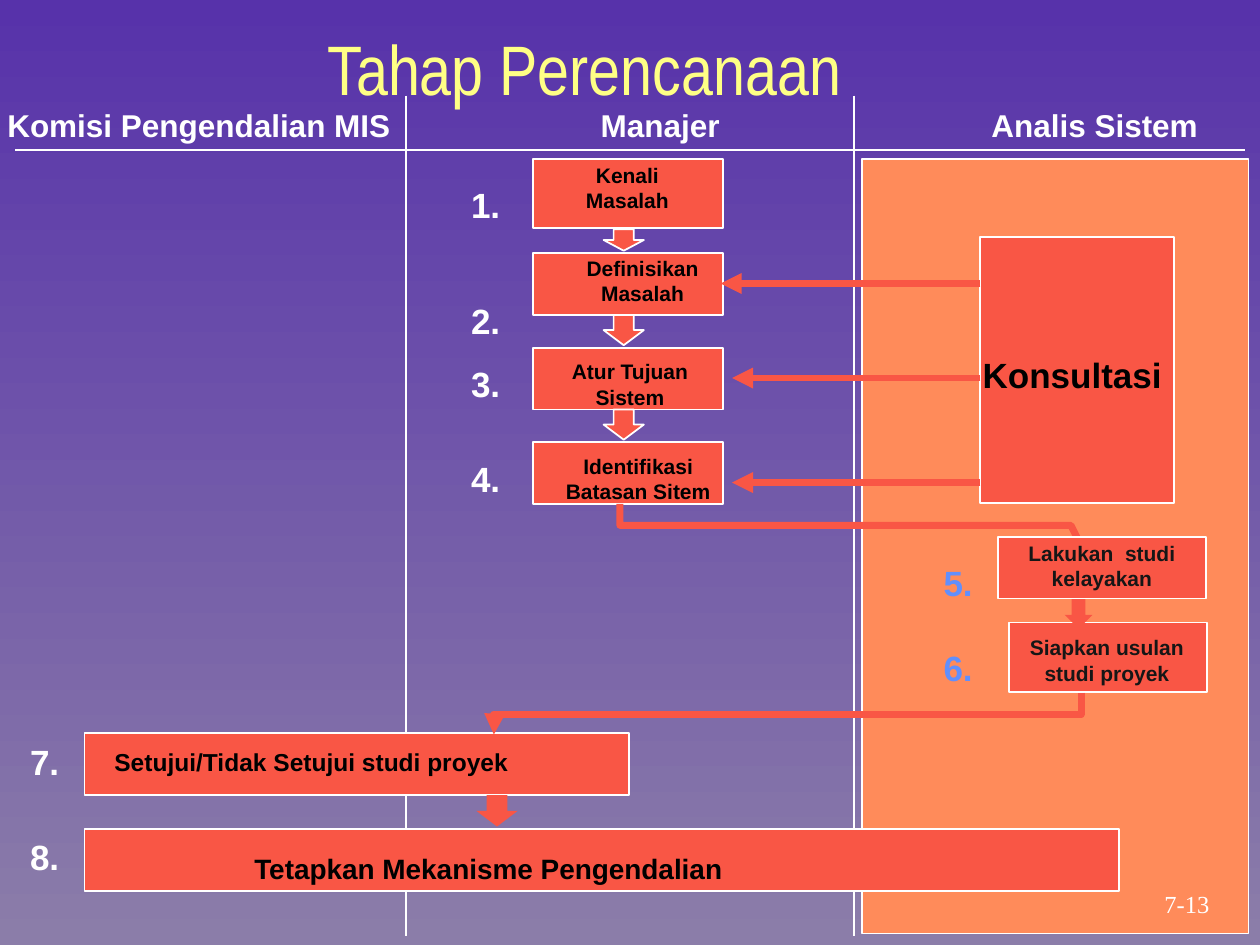
from typing import NamedTuple

from lxml.etree import SubElement
from pptx import Presentation
from pptx.dml.color import RGBColor
from pptx.enum.shapes import MSO_CONNECTOR, MSO_SHAPE
from pptx.enum.text import MSO_ANCHOR, PP_ALIGN
from pptx.oxml.ns import qn
from pptx.util import Inches, Pt

WHITE = RGBColor(0xFF, 0xFF, 0xFF)
BLACK = RGBColor(0, 0, 0)
DARK = RGBColor(0x16, 0x16, 0x16)
RED = RGBColor(0xF9, 0x56, 0x45)
ORANGE = RGBColor(0xFF, 0x8B, 0x5A)
YELLOW = RGBColor(0xFF, 0xFF, 0x85)
BLUE = RGBColor(0x61, 0x8F, 0xFD)
TOP_PURPLE = RGBColor(0x57, 0x32, 0xAA)
BOTTOM_PURPLE = RGBColor(0x8B, 0x7D, 0xA9)


class Area(NamedTuple):
    x: float
    y: float
    w: float
    h: float


class Label(NamedTuple):
    text: str
    area: Area
    color: RGBColor = BLACK


class Number(NamedTuple):
    text: str
    x: float
    y: float
    color: RGBColor = WHITE


class DownArrow(NamedTuple):
    area: Area
    outline: RGBColor | None = None


MANAGER_X, MANAGER_W = 4.23, 1.51
BOXES = [
    Area(MANAGER_X, 1.26, MANAGER_W, 0.55),
    *[Area(MANAGER_X, 2.01 + 0.75 * i, MANAGER_W, 0.49) for i in range(3)],
    Area(7.78, 1.88, 1.54, 2.11),
    Area(8.01, 4.94, 1.57, 0.55),
    Area(0.67, 5.82, 4.32, 0.49),
    Area(0.67, 6.58, 8.21, 0.49),
]
STUDY_BOX = Area(7.92, 4.26, 1.65, 0.49)

LABELS = [
    Label("Kenali\nMasalah", Area(4.31, 1.24, 1.34, 0.5)),
    Label("Definisikan Masalah", Area(4.46, 1.98, 1.28, 0.5)),
    Label("Atur Tujuan Sistem", Area(4.28, 2.8, 1.44, 0.5)),
    Label("Identifikasi Batasan Sitem", Area(4.32, 3.55, 1.49, 0.5)),
    Label("Lakukan  studi kelayakan", Area(7.99, 4.24, 1.51, 0.5), DARK),
    Label("Siapkan usulan studi proyek", Area(7.99, 4.99, 1.59, 0.5), DARK),
]
NUMBERS = [
    Number("1.", 3.64, 1.41),
    Number("2.", 3.64, 2.33),
    Number("3.", 3.64, 2.83),
    Number("4.", 3.64, 3.58),
    Number("5.", 7.39, 4.41, BLUE),
    Number("6.", 7.39, 5.08, BLUE),
    Number("7.", 0.14, 5.83),
    Number("8.", 0.14, 6.58),
]
DOWN_ARROWS = [
    DownArrow(Area(4.79, 1.82, 0.32, 0.17), WHITE),
    DownArrow(Area(4.79, 2.5, 0.32, 0.24), WHITE),
    DownArrow(Area(4.79, 3.25, 0.32, 0.24), WHITE),
    DownArrow(Area(3.78, 6.31, 0.33, 0.25)),
    DownArrow(Area(8.45, 4.74, 0.22, 0.25)),
]
CONSULT_ARROWS = [(3.83, 5.81), (3, 5.81), (2.25, 5.72)]  # y, x of the tip


def add_block(s, area: Area, fill=RED, outline=WHITE, kind=MSO_SHAPE.RECTANGLE):
    sp = s.shapes.add_shape(kind, *map(Inches, area))
    sp.shadow.inherit = False
    sp.fill.solid()
    sp.fill.fore_color.rgb = fill
    if outline is None:
        sp.line.fill.background()
    else:
        sp.line.color.rgb = outline
        sp.line.width = Pt(1)


def add_text(s, text: str, area: Area, *, size=12, color=BLACK, bold=True,
             font="Arial", align=PP_ALIGN.LEFT, wrap=True,
             anchor=MSO_ANCHOR.TOP, tabs=()):
    tf = s.shapes.add_textbox(*map(Inches, area)).text_frame
    tf.word_wrap = wrap
    tf.vertical_anchor = anchor
    tf.text = text
    for p in tf.paragraphs:
        p.alignment = align
        if tabs:
            tab_list = SubElement(p._p.get_or_add_pPr(), qn("a:tabLst"))
            for pos in tabs:
                SubElement(tab_list, qn("a:tab"), pos=str(Inches(pos)), algn="l")
        for r in p.runs:
            r.font.name = font
            r.font.size = Pt(size)
            r.font.bold = bold
            r.font.color.rgb = color


def style_line(line, color: RGBColor, width: float, arrow: bool):
    line.color.rgb = color
    line.width = Pt(width)
    if arrow:
        SubElement(line._get_or_add_ln(), qn("a:tailEnd"), type="triangle")


def add_line(s, x1, y1, x2, y2, color=WHITE, width=1, arrow=False):
    cx = s.shapes.add_connector(MSO_CONNECTOR.STRAIGHT,
                                *map(Inches, (x1, y1, x2, y2)))
    style_line(cx.line, color, width, arrow)
    SubElement(cx._element.spPr, qn("a:effectLst"))


def add_route(s, points: list[tuple[float, float]], arrow=False):
    """Draw an open bent line through the points."""
    start, *rest = [(Inches(x), Inches(y)) for x, y in points]
    builder = s.shapes.build_freeform(*start)
    builder.add_line_segments(rest, close=False)
    sp = builder.convert_to_shape()
    sp.shadow.inherit = False
    sp.fill.background()
    style_line(sp.line, RED, 4, arrow)


def paint_background(s):
    fill = s.background.fill
    fill.gradient()
    fill.gradient_angle = 270
    for stop, color in zip(fill.gradient_stops, (TOP_PURPLE, BOTTOM_PURPLE)):
        stop.color.rgb = color


def main():
    prs = Presentation()
    prs.slide_width, prs.slide_height = Inches(10), Inches(7.5)
    s = prs.slides.add_slide(prs.slide_layouts[6])
    paint_background(s)

    add_block(s, Area(6.84, 1.26, 3.07, 6.15), fill=ORANGE)
    add_line(s, 0.12, 1.19, 9.88, 1.19)
    for x in (3.22, 6.78):
        add_line(s, x, 0.76, x, 7.43)

    for area in BOXES:
        add_block(s, area)
    for arrow in DOWN_ARROWS:
        add_block(s, arrow.area, outline=arrow.outline, kind=MSO_SHAPE.DOWN_ARROW)
    add_route(s, [(4.92, 4), (4.92, 4.17), (8.5, 4.17), (8.58, 4.33)])
    add_route(s, [(8.58, 5.5), (8.58, 5.67), (3.92, 5.67), (3.92, 5.83)], arrow=True)
    for y, tip in CONSULT_ARROWS:
        add_line(s, 7.78, y, tip, y, color=RED, width=4, arrow=True)
    add_block(s, STUDY_BOX)

    add_text(s, "Tahap Perencanaan", Area(2.5, 0.15, 5.38, 0.76), size=40,
             color=YELLOW, bold=False, font="Arial Narrow")
    add_text(s, "Komisi Pengendalian MIS\tManajer\tAnalis Sistem",
             Area(-0.04, 0.79, 9.8, 0.4), size=18, color=WHITE, tabs=(4.71, 7.81))
    for label in LABELS:
        add_text(s, label.text, label.area, color=label.color, align=PP_ALIGN.CENTER)
    add_text(s, "Konsultasi", Area(7.7, 2.76, 1.62, 0.43), size=20,
             align=PP_ALIGN.CENTER, wrap=False)
    add_text(s, "Setujui/Tidak Setujui studi proyek",
             Area(0.81, 5.88, 4.17, 0.33), size=14)
    add_text(s, "Tetapkan Mekanisme Pengendalian",
             Area(1.92, 6.71, 4.86, 0.36), size=16)
    for number in NUMBERS:
        add_text(s, number.text, Area(number.x, number.y, 0.43, 0.43), size=20,
                 color=number.color, wrap=False)
    add_text(s, "7-13", Area(8.83, 7, 1.18, 0.34), size=14, color=WHITE, bold=False,
             font="Times New Roman", align=PP_ALIGN.CENTER, wrap=False,
             anchor=MSO_ANCHOR.MIDDLE)

    prs.save("out.pptx")


if __name__ == "__main__":
    main()
